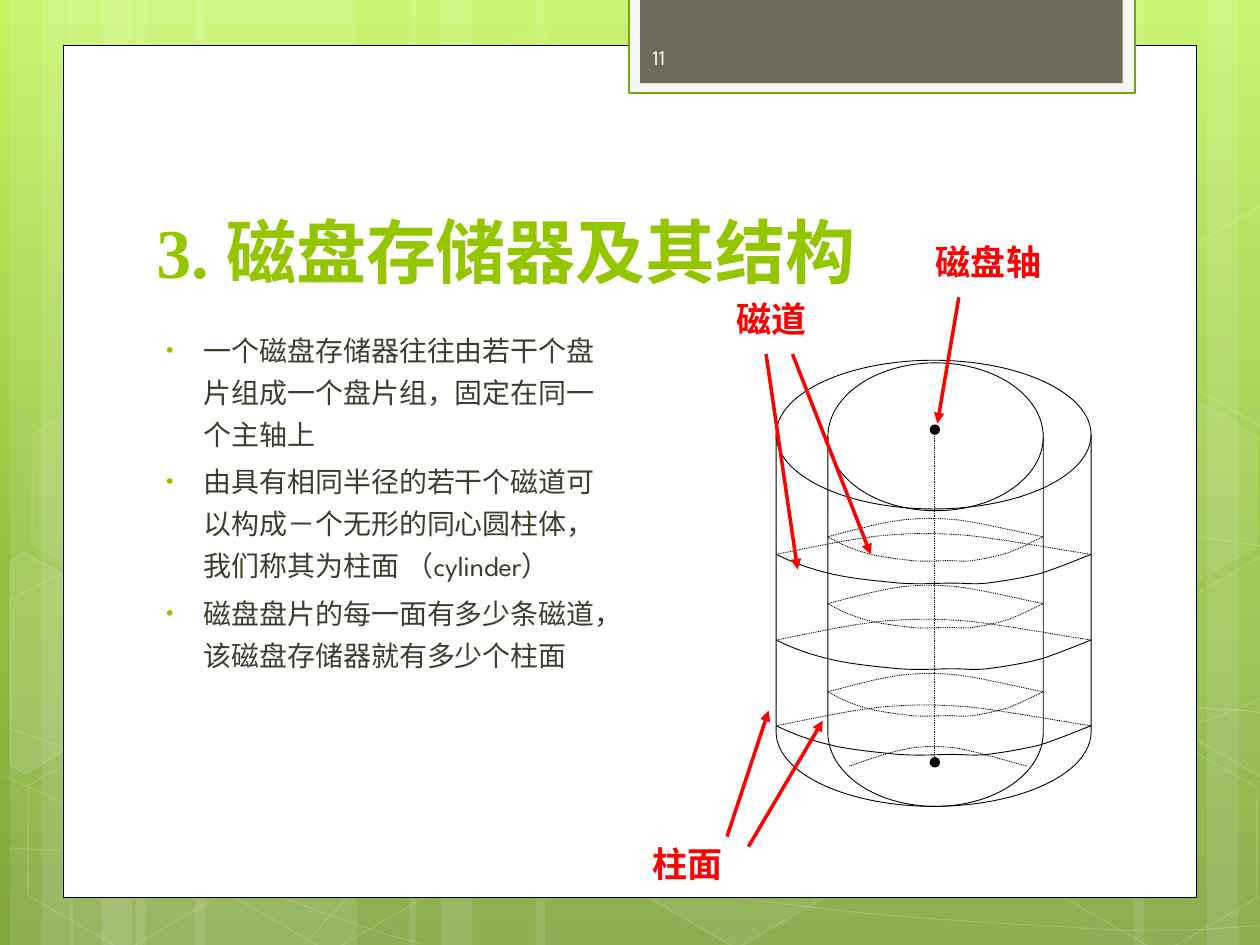
from copy import deepcopy
from math import cos, radians, sin
from lxml.etree import SubElement
from pptx import Presentation
from pptx.dml.color import RGBColor
from pptx.enum.dml import MSO_LINE_DASH_STYLE as Dash
from pptx.enum.shapes import MSO_CONNECTOR_TYPE as Connector, MSO_SHAPE as Shape
from pptx.enum.text import MSO_ANCHOR as Anchor, PP_ALIGN as Align
from pptx.oxml.ns import qn
from pptx.util import Inches, Pt

WIDTH, HEIGHT, TILT = 10, 7.5, 30
COLORS = {"white": "FFFFFF", "black": "000000", "red": "FF0000", "green": "94C600",
          "edge": "74A510", "pale": "F5F5F5", "brown": "71685A", "ink": "3E3D2D",
          "number": "FEFEFE"}
GRADIENT = [(0, "C3F35F"), (0.62, "93BF3F"), (1, "81A53E")]
TITLE = "3. 磁盘存储器及其结构"
BULLETS = [
    "一个磁盘存储器往往由若干个盘片组成一个盘片组，固定在同一个主轴上",
    "由具有相同半径的若干个磁道可以构成－个无形的同心圆柱体，我们称其为柱面 （cylinder）",
    "磁盘盘片的每一面有多少条磁道，该磁盘存储器就有多少个柱面",
]
LABELS = [("柱面", 5.08, 6.64, 1.67), ("磁道", 5.75, 2.31, 0.92), ("磁盘轴", 7.33, 1.86, 1.67)]
ARROWS = [((7.61, 2.36), (7.44, 3.36)), ((5.77, 6.64), (6.1, 5.64)),
          ((5.94, 6.72), (6.53, 5.72)), ((6.08, 2.81), (6.33, 4.52)),
          ((6.29, 2.81), (6.91, 4.4))]
STRIPES = [(1.08, 1.75), (0.08, 0.5), (0.33, 0.83), (1.55, 1.75), (0.55, 0.5), (0.8, 0.83),
           (7.33, 1.75), (9.58, 0.5), (9, 0.83), (4.25, 3.08), (3.25, 0.5), (3.5, 0.83)]
HEXAGONS = [(3.34, 0.36, 4, 8), (4.97, 5.89, 6, 12), (0.11, 5.91, 0, 12), (0.14, 3.12, 7, 8),
            (1.74, 5.92, 0, 12), (7.53, 4.53, 10, 12), (8.34, 5.93, 0, 12), (8.34, 3.14, 7, 8)]
CUT_HEXAGONS = [
    ([(0.08, 4.45), (0.19, 4.38), (0.96, 4.82), (0.95, 5.7), (0.2, 6.14), (0.08, 6.07)],
     (0.36, 5.35), 10),
    ([(9.26, 4.85), (10.01, 4.41), (10.09, 4.46), (10.09, 6.13), (10.02, 6.17), (9.26, 5.73)],
     (9.85, 5.2), 4),
    ([(9.26, 2.07), (10.01, 1.63), (10.1, 1.68), (10.09, 3.35), (10.02, 3.39), (9.26, 2.95)],
     (9.85, 2.41), 0),
]
WAVES = [
    [(0.07, 6.73), (0.61, 6.76), (1.15, 6.79), (1.9, 6.78), (2.65, 6.77), (3.58, 6.75),
     (4.58, 6.65), (5.58, 6.55), (7, 6.36), (7.92, 6.17), (8.83, 5.98), (9.77, 5.68),
     (10.07, 5.51)],
    [(0.07, 4.77), (0.36, 4.61), (0.65, 4.46), (1.21, 4.31), (1.78, 4.16), (2.59, 3.94),
     (3.47, 3.87), (4.36, 3.8), (5.44, 3.79), (6.54, 3.87), (7.64, 3.95), (9.47, 4.26),
     (10.07, 4.34)],
    [(0.06, 6.17), (1.27, 6.72), (2.47, 7.27), (3.34, 7.49)],
    [(0.07, 5.78), (0.38, 5.89), (0.7, 6), (1.28, 6.16), (1.86, 6.31), (2.73, 6.56),
     (3.57, 6.73), (4.4, 6.9), (5.45, 7.08), (6.28, 7.18), (7.11, 7.29), (8, 7.33),
     (8.53, 7.36), (9.05, 7.4), (9.19, 7.38), (9.45, 7.38), (9.71, 7.37), (9.89, 7.35),
     (10.07, 7.34)],
    [(2.42, 7.49), (2.6, 7.29), (2.78, 7.09), (3.02, 6.91), (3.26, 6.73), (3.6, 6.53),
     (3.88, 6.39), (4.16, 6.25), (4.33, 6.19), (4.7, 6.09), (5.06, 5.99), (5.73, 5.85),
     (6.08, 5.78), (6.44, 5.71), (6.49, 5.71), (6.8, 5.69), (7.11, 5.66), (7.6, 5.63),
     (7.94, 5.62), (8.29, 5.61), (8.86, 5.62), (8.86, 5.62), (9.08, 5.62), (9.3, 5.62),
     (9.53, 5.62), (9.71, 5.63), (9.88, 5.64), (9.97, 5.65), (10.06, 5.66), (10.03, 5.65),
     (10.06, 5.66)],
]
BACK_ARC = [(0, 1), (0.12, 0.65), (0.23, 0.29), (0.34, 0.12), (0.44, 0), (0.5, 0),
            (0.61, 0.12), (0.72, 0.29), (0.94, 0.88), (1, 1)]
FRONT_ARC = [(0, 0), (0.05, 0.25), (0.1, 0.46), (0.17, 0.63), (0.23, 0.79), (0.32, 0.88),
             (0.39, 0.95), (0.46, 1), (0.51, 0.95), (0.56, 0.95), (0.6, 0.95), (0.63, 1),
             (0.67, 0.95), (0.71, 0.9), (0.78, 0.79), (0.84, 0.63), (0.89, 0.46),
             (0.94, 0.25), (1, 0)]
OUTER = {"left": 6.16, "width": 2.5, "back": 0.17, "front": 0.24,
         "rims": [5.76, 5.08, 4.4], "dash": None}
INNER = {"left": 6.57, "width": 1.71, "back": 0.15, "front": 0.2,
         "rims": [5.49, 4.79, 4.26], "dash": Dash.ROUND_DOT}


def rgb(name):
    return RGBColor.from_string(COLORS[name])


def fade(shape, route, percent):
    if percent < 100:
        tags = route + ["a:solidFill", "a:srgbClr"]
        color = shape.element.spPr.find("/".join(qn(tag) for tag in tags))
        SubElement(color, qn("a:alpha")).set("val", str(percent * 1000))


def paint(shape, fill=None, line=None, weight=0.5, fill_alpha=100, line_alpha=100, dash=None):
    shape.shadow.inherit = False
    if fill:
        shape.fill.solid()
        shape.fill.fore_color.rgb = rgb(fill)
        fade(shape, [], fill_alpha)
    else:
        shape.fill.background()
    if line:
        shape.line.color.rgb = rgb(line)
        shape.line.width = Pt(weight)
        fade(shape, ["a:ln"], line_alpha)
        if dash:
            shape.line.dash_style = dash
    else:
        shape.line.fill.background()


def add_preset(page, kind, place, **style):
    shape = page.shapes.add_shape(kind, *map(Inches, place))
    paint(shape, **style)
    return shape


def add_outline(page, points, close=False, **style):
    places = [(Inches(x), Inches(y)) for x, y in points]
    builder = page.shapes.build_freeform(*places[0])
    builder.add_line_segments(places[1:], close=close)
    shape = builder.convert_to_shape()
    paint(shape, **style)
    return shape


def add_curve(page, knots, **style):
    shape = add_outline(page, knots, **style)
    outline = shape.element.find(".//" + qn("a:path"))
    segments = outline.findall(qn("a:lnTo"))
    for first in range(0, len(segments), 3):
        curve = SubElement(outline, qn("a:cubicBezTo"))
        for segment in segments[first:first + 3]:
            curve.append(segment[0])
            outline.remove(segment)


def add_arc(page, arc, left, top, width, height, dash):
    knots = [(left + x * width, top + y * height) for x, y in arc]
    add_curve(page, knots, line="black", dash=dash)


def turn_back(point, center):
    x, y = point[0] - center[0], point[1] - center[1]
    c, s = cos(radians(TILT)), sin(radians(TILT))
    return center[0] + x * c + y * s, center[1] - x * s + y * c


def add_line(page, start, end, color, weight, dash=None, head=None, tail=None):
    line = page.shapes.add_connector(Connector.STRAIGHT, *map(Inches, start + end))
    line.line.color.rgb = rgb(color)
    line.line.width = Pt(weight)
    if dash:
        line.line.dash_style = dash
    for tag, kind in (("a:headEnd", head), ("a:tailEnd", tail)):
        if kind:
            SubElement(line.element.spPr.find(qn("a:ln")), qn(tag)).set("type", kind)
    SubElement(line.element.spPr, qn("a:effectLst"))


def set_font(para, name, size, color, bold=False):
    font = para.font
    font.name, font.size, font.bold = name, Pt(size), bold
    font.color.rgb = rgb(color)


def add_text(page, place, lines, *font):
    frame = page.shapes.add_textbox(*map(Inches, place)).text_frame
    frame.word_wrap = True
    frame.text = "\n".join(lines)
    for para in frame.paragraphs:
        if len(lines) > 1:
            add_bullet(para)
        set_font(para, *font)
    return frame


def add_bullet(para):
    props = para._p.get_or_add_pPr()
    props.set("marL", str(Inches(0.38)))
    props.set("indent", str(Inches(-0.3)))
    color = SubElement(props, qn("a:buClr"))
    SubElement(color, qn("a:srgbClr")).set("val", COLORS["green"])
    SubElement(props, qn("a:buSzPct")).set("val", "76000")
    SubElement(props, qn("a:buFont")).set("typeface", "Arial")
    SubElement(props, qn("a:buChar")).set("char", "•")


def add_backdrop(page):
    fill = page.background.fill
    fill.gradient()
    fill.gradient_angle = 270
    stops = page.element.find(".//" + qn("a:gsLst"))
    stops.append(deepcopy(stops[-1]))
    for stop, (position, color) in zip(fill.gradient_stops, GRADIENT):
        stop.position = position
        stop.color.rgb = RGBColor.from_string(color)
    for left, width in STRIPES:
        add_preset(page, Shape.RECTANGLE, (left, 0, width, HEIGHT), fill="white", fill_alpha=10)
    for wave in WAVES:
        add_curve(page, wave, line="white", line_alpha=20)
    for left, top, alpha, edge in HEXAGONS:
        hexagon = add_preset(page, Shape.HEXAGON, (left, top, 1.75, 1.52), fill=alpha and "white",
                             fill_alpha=alpha, line="white", weight=1, line_alpha=edge)
        hexagon.adjustments[0] = 0.285
        hexagon.rotation = TILT
    for points, center, alpha in CUT_HEXAGONS:
        level = [turn_back(point, center) for point in points]
        hexagon = add_outline(page, level, close=True, fill=alpha and "white", fill_alpha=alpha,
                              line="white", weight=1, line_alpha=12)
        hexagon.rotation = TILT
    add_preset(page, Shape.RECTANGLE, (0.5, 0.36, 9, 6.76), fill="white", line="black")
    add_preset(page, Shape.RECTANGLE, (4.99, -0.02, 4.02, 0.76), fill="pale", line="edge", weight=1.25)
    add_preset(page, Shape.RECTANGLE, (5.08, -0.02, 3.83, 0.68), fill="brown")


def add_words(page):
    title = page.shapes.title
    page.shapes.element.append(title.element)
    title.left, title.top, title.width, title.height = map(Inches, (1.14, 1.12, 7.68, 1.25))
    title.text_frame.text = TITLE
    title.text_frame.vertical_anchor = Anchor.BOTTOM
    heading = title.text_frame.paragraphs[0]
    heading.alignment = Align.LEFT
    set_font(heading, "Times New Roman", 40, "green", True)
    number = add_text(page, (5.08, 0.25, 1.46, 0.4), ["11"], "League Spartan", 12, "number")
    number.vertical_anchor = Anchor.MIDDLE
    body = add_text(page, (1.14, 2.53, 3.74, 3.82), BULLETS, "League Spartan", 16, "ink")
    for index, para in enumerate(body.paragraphs):
        para.line_spacing = 1.25
        para.space_before = Pt(3.2 if index else 0)


def add_disk(page):
    add_preset(page, Shape.FLOWCHART_MAGNETIC_DISK, (6.16, 2.86, 2.5, 3.54), fill="white", line="black")
    for ring in (OUTER, INNER):
        left, width, back, front = (ring[key] for key in ("left", "width", "back", "front"))
        for rim in ring["rims"]:
            add_arc(page, BACK_ARC, left, rim - back, width, back, Dash.ROUND_DOT)
            add_arc(page, FRONT_ARC, left, rim, width, front, ring["dash"])
    add_arc(page, BACK_ARC, 6.74, 5.92, 1.41, 0.16, Dash.ROUND_DOT)
    add_line(page, (7.42, 3.41), (7.42, 6.05), "black", 0.5, Dash.ROUND_DOT, "oval", "oval")
    add_preset(page, Shape.FLOWCHART_MAGNETIC_DISK, (6.57, 2.88, 1.71, 3.52), line="black")
    for label, left, top, width in LABELS:
        add_text(page, (left, top, width, 0.44), [label], "Arial", 20, "red", True)
    for start, end in ARROWS:
        add_line(page, start, end, "red", 2, tail="triangle")


deck = Presentation()
deck.slide_width, deck.slide_height = Inches(WIDTH), Inches(HEIGHT)
slide = deck.slides.add_slide(deck.slide_layouts[5])
add_backdrop(slide)
add_words(slide)
add_disk(slide)
deck.save("out.pptx")
